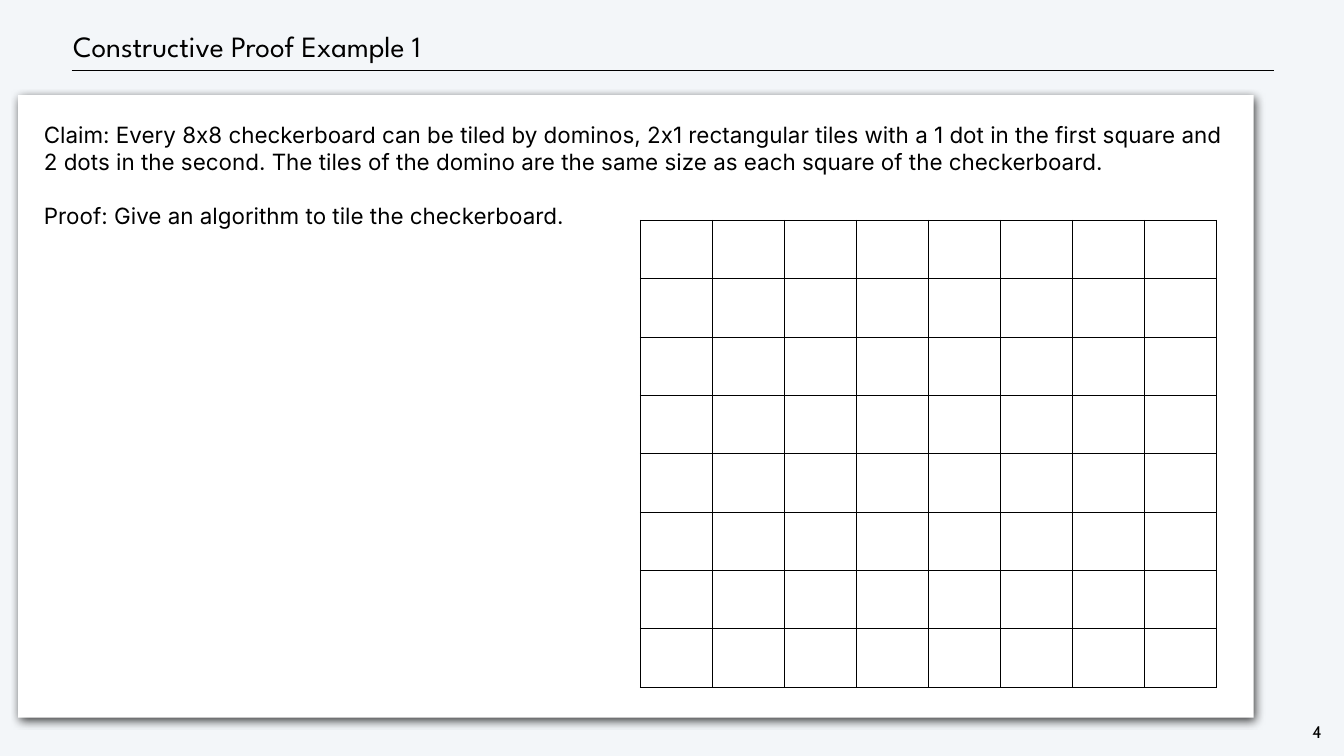
from lxml.etree import SubElement
from pptx import Presentation
from pptx.dml.color import RGBColor
from pptx.enum.shapes import MSO_CONNECTOR, MSO_SHAPE
from pptx.enum.text import MSO_ANCHOR, MSO_AUTO_SIZE, PP_ALIGN
from pptx.oxml import parse_xml
from pptx.oxml.ns import nsdecls, qn
from pptx.util import Cm, Pt

COLORS = {"page": "F3F6F9", "card": "FFFFFF", "ink": "000000"}
BOARD_SIZE = 8


def rgb(name):
    return RGBColor.from_string(COLORS[name])


def style_text(frame, font, size, inset, align=PP_ALIGN.LEFT, anchor=MSO_ANCHOR.TOP):
    frame.margin_left = frame.margin_right = Cm(inset)
    frame.margin_top = frame.margin_bottom = Cm(inset)
    frame.auto_size = MSO_AUTO_SIZE.NONE
    frame.vertical_anchor = anchor
    for paragraph in frame.paragraphs:
        paragraph.alignment = align
        for run in paragraph.runs:
            run.font.name = font
            run.font.size = Pt(size)
            run.font.color.rgb = rgb("ink")


prs = Presentation()
prs.slide_width, prs.slide_height = Cm(67.74), Cm(38.1)
slide = prs.slides.add_slide(prs.slide_layouts[5])
slide.background.fill.solid()
slide.background.fill.fore_color.rgb = rgb("page")

# Title and the rule below it
heading = slide.shapes.title
heading.left, heading.top, heading.width, heading.height = Cm(3.53), Cm(1.07), Cm(57.45), Cm(2.51)
heading.text_frame.text = "Constructive Proof Example 1"
style_text(heading.text_frame, "League Spartan", 42, 0.15, anchor=MSO_ANCHOR.MIDDLE)
heading.text_frame.paragraphs[0].line_spacing = Pt(50)
heading.text_frame.paragraphs[0].space_before = Pt(3)

rule = slide.shapes.add_connector(MSO_CONNECTOR.STRAIGHT, Cm(3.61), Cm(3.56), Cm(64.19), Cm(3.56))
rule.line.color.rgb = rgb("ink")
rule.line.width = Pt(1)
SubElement(rule.line._get_or_add_ln().getparent(), qn("a:effectLst"))

# Slide number
page_number = slide.shapes.add_textbox(Cm(65.84), Cm(36.3), Cm(1.09), Cm(1.19))
page_number.text_frame.text = "4"
page_number.text_frame.word_wrap = False
style_text(page_number.text_frame, "Cabin", 24, 0.1, PP_ALIGN.CENTER)
page_number.text_frame.paragraphs[0].line_spacing = Pt(28)

# Card with the claim and the proof
card = slide.shapes.add_shape(MSO_SHAPE.RECTANGLE, Cm(0.91), Cm(4.8), Cm(62.28), Cm(31.37))
card.fill.solid()
card.fill.fore_color.rgb = rgb("card")
card.line.fill.background()
card._element.spPr.append(parse_xml(
    f'<a:effectLst {nsdecls("a")}>'
    f'<a:outerShdw blurRad="{Pt(13)}" dist="{Pt(6)}" dir="2700000" algn="tl" rotWithShape="0">'
    f'<a:srgbClr val="{COLORS["ink"]}"><a:alpha val="75000"/></a:srgbClr>'
    '</a:outerShdw></a:effectLst>'))
card.text_frame.word_wrap = True
card.text_frame.text = (
    "Claim: Every 8x8 checkerboard can be tiled by dominos, 2x1 rectangular tiles with a 1 dot "
    "in the first square and 2 dots in the second. The tiles of the domino are the same size as "
    "each square of the checkerboard.\n"
    "Proof: Give an algorithm to tile the checkerboard.")
style_text(card.text_frame, "Inter", 32, 1.3)
card.text_frame.paragraphs[1].space_before = Pt(38.7)

# Checkerboard
board = slide.shapes.add_table(BOARD_SIZE, BOARD_SIZE, Cm(32.26), Cm(11.1), Cm(29.04), Cm(23.52)).table
board.first_row = board.horz_banding = False
for column in board.columns:
    column.width = Cm(3.63)
for row in board.rows:
    row.height = Cm(2.94)
for square in board.iter_cells():
    properties = square._tc.get_or_add_tcPr()
    for side in ("lnL", "lnR", "lnT", "lnB"):
        border = SubElement(properties, qn(f"a:{side}"), w=str(Pt(1)))
        ink = SubElement(border, qn("a:solidFill"))
        SubElement(ink, qn("a:srgbClr"), val=COLORS["ink"])
    square.fill.background()

prs.save("out.pptx")
